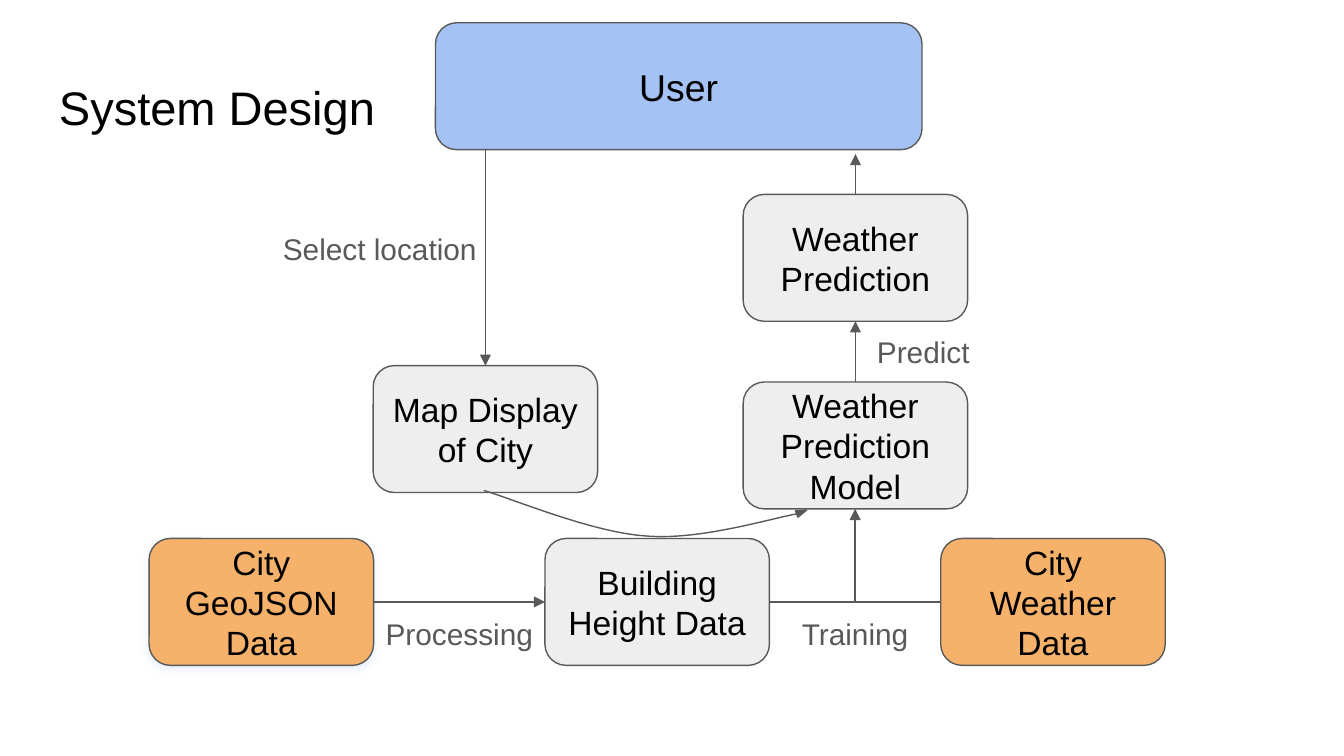
from collections import namedtuple

from lxml.etree import SubElement
from pptx import Presentation
from pptx.dml.color import RGBColor
from pptx.enum.shapes import MSO_CONNECTOR as CONN, MSO_SHAPE as SHAPE
from pptx.enum.text import MSO_ANCHOR as ANCHOR, MSO_AUTO_SIZE as AUTO, PP_ALIGN as ALIGN
from pptx.oxml.ns import qn
from pptx.util import Inches, Pt

BLACK = RGBColor(0x00, 0x00, 0x00)
GRAY = RGBColor(0x59, 0x59, 0x59)
PALE = RGBColor(0xEE, 0xEE, 0xEE)
ORANGE = RGBColor(0xF6, 0xB2, 0x6B)
BLUE = RGBColor(0xA4, 0xC2, 0xF4)
FONT = "Arial"
COLS, ROWS = 100, 56.25
NODE_W, NODE_H = 16.7, 9.44
LABEL_H = 4.7
Box = namedtuple("Box", "x y w h")


def grid(n):
    """Turn grid units of a tenth of an inch into a length."""
    return Inches(n / 10)


def add_text(sp, text, size, color, align, anchor):
    """Write one paragraph into a shape."""
    tf = sp.text_frame
    tf.word_wrap = True
    tf.vertical_anchor = anchor
    tf.margin_left = tf.margin_right = tf.margin_top = tf.margin_bottom = grid(1)
    p = tf.paragraphs[0]
    p.alignment = align
    r = p.add_run()
    r.text = text
    r.font.name, r.font.size = FONT, Pt(size)
    r.font.color.rgb = color


def add_label(s, box, text, size=16, color=GRAY, align=ALIGN.CENTER):
    """Place free text in a box."""
    sp = s.shapes.add_textbox(*map(grid, box))
    add_text(sp, text, size, color, align, ANCHOR.TOP)
    sp.text_frame.auto_size = AUTO.SHAPE_TO_FIT_TEXT if size == 16 else AUTO.NONE


def add_solid(s, kind, box, fill):
    """Place a filled shape with a thin gray outline."""
    sp = s.shapes.add_shape(kind, *map(grid, box))
    sp.shadow.inherit = False
    sp.fill.solid()
    sp.fill.fore_color.rgb = fill
    sp.line.color.rgb = GRAY
    sp.line.width = Pt(0.75)
    return sp


def add_node(s, box, text, fill=PALE, size=18):
    """Place a rounded box with centred text."""
    sp = add_solid(s, SHAPE.ROUNDED_RECTANGLE, box, fill)
    add_text(sp, text, size, BLACK, ALIGN.CENTER, ANCHOR.MIDDLE)
    return sp


def add_glow(sp):
    """Give a shape a soft blue shadow below it."""
    effects = sp._element.spPr.find(qn("a:effectLst"))
    shadow = SubElement(effects, qn("a:outerShdw"), blurRad=str(Pt(4.5)),
                        dist=str(Pt(1.5)), dir="5400000", algn="bl", rotWithShape="0")
    color = SubElement(shadow, qn("a:srgbClr"), val=str(BLUE))
    SubElement(color, qn("a:alpha"), val="25000")


def add_line(s, x1, y1, x2, y2, arrow=True):
    """Draw a straight line, with an arrowhead at its end if asked."""
    c = s.shapes.add_connector(CONN.STRAIGHT, *map(grid, (x1, y1, x2, y2)))
    c.line.color.rgb = GRAY
    c.line.width = Pt(0.75)
    if arrow:
        SubElement(c.line._get_or_add_ln(), qn("a:tailEnd"), type="triangle")
    SubElement(c._element.spPr, qn("a:effectLst"))


def bezier(points, t):
    """Return the point at t on a cubic curve."""
    weights = ((1 - t) ** 3, 3 * t * (1 - t) ** 2, 3 * t * t * (1 - t), t ** 3)
    return tuple(sum(w * v for w, v in zip(weights, axis)) for axis in zip(*points))


def add_data_row(s, box):
    """Place the data boxes, their links and the training arrow."""
    pitch = (box.w - NODE_W) / 2
    gap = pitch - NODE_W
    mid = box.y + box.h / 2
    names = ("City GeoJSON Data", ORANGE), ("Building Height Data", PALE), ("City Weather Data", ORANGE)
    nodes = [add_node(s, Box(box.x + i * pitch, box.y, NODE_W, box.h), text, fill)
             for i, (text, fill) in enumerate(names)]
    add_glow(nodes[0])
    links = ("Processing", 13.4, True), ("Training", 10.1, False)
    for i, (text, width, arrow) in enumerate(links):
        left = box.x + NODE_W + i * pitch
        center = left + gap / 2
        add_line(s, left, mid, left + gap, mid, arrow)
        add_label(s, Box(center - width / 2, mid, width, LABEL_H), text)
    add_line(s, center, mid, center, box.y - 2.2)


def add_request(s, box):
    """Place the location arrow above the map box."""
    center = box.x + box.w / 2
    top = box.y + box.h - NODE_H
    add_node(s, Box(box.x, top, box.w, NODE_H), "Map Display of City")
    add_line(s, center, box.y, center, top)
    add_label(s, Box(box.x - 7.7, box.y + 5, 17.3, LABEL_H), "Select location", align=ALIGN.LEFT)


def add_forecast(s, box):
    """Place the model below its prediction, with arrows going up."""
    center = box.x + box.w / 2
    model = box.y + box.h - NODE_H
    result = box.y + 3
    add_node(s, Box(box.x, result, box.w, NODE_H), "Weather Prediction")
    add_node(s, Box(box.x, model, box.w, NODE_H), "Weather Prediction Model")
    add_line(s, center, model, center, result + NODE_H)
    add_line(s, center, result, center, box.y)
    add_label(s, Box(center, result + NODE_H - 0.1, 10.1, LABEL_H), "Predict")


def add_curve(s, box):
    """Draw the curved arrow from the map to the model."""
    halves = (((0, 0), (0.09, 0.18), (0.35, 0.94), (0.52, 1)),
              ((0.52, 1), (0.69, 1.09), (0.92, 0.59), (1, 0.5)))
    points = [bezier(half, i / 16) for half in halves for i in range(17)]
    places = [(grid(box.x + x * box.w), grid(box.y + y * box.h)) for x, y in points]
    fb = s.shapes.build_freeform(*places[0])
    fb.add_line_segments(places[1:], close=False)
    sp = fb.convert_to_shape()
    sp.shadow.inherit = False
    sp.fill.background()
    sp.line.color.rgb = GRAY
    sp.line.width = Pt(0.75)
    tip = Box(box.x + box.w - 0.1, box.y + box.h / 2 - 0.5, 0.5, 0.8)
    add_solid(s, SHAPE.ISOSCELES_TRIANGLE, tip, GRAY).rotation = 68


def main():
    """Build the slide and save it."""
    prs = Presentation()
    prs.slide_width, prs.slide_height = grid(COLS), grid(ROWS)
    s = prs.slides.add_slide(prs.slide_layouts[6])
    add_label(s, Box(3.4, 4.87, 93.2, 6.3), "System Design", 25.2, BLACK, ALIGN.LEFT)
    add_data_row(s, Box(11.1, 40.07, 75.6, NODE_H))
    add_request(s, Box(27.77, 11.15, NODE_W, 25.5))
    add_forecast(s, Box(55.3, 11.47, NODE_W, 26.4))
    add_curve(s, Box(36, 36.5, 23.5, 3.4))
    add_node(s, Box(32.4, 1.7, 36.2, NODE_H), "User", BLUE, 20)
    prs.save("out.pptx")


if __name__ == "__main__":
    main()
